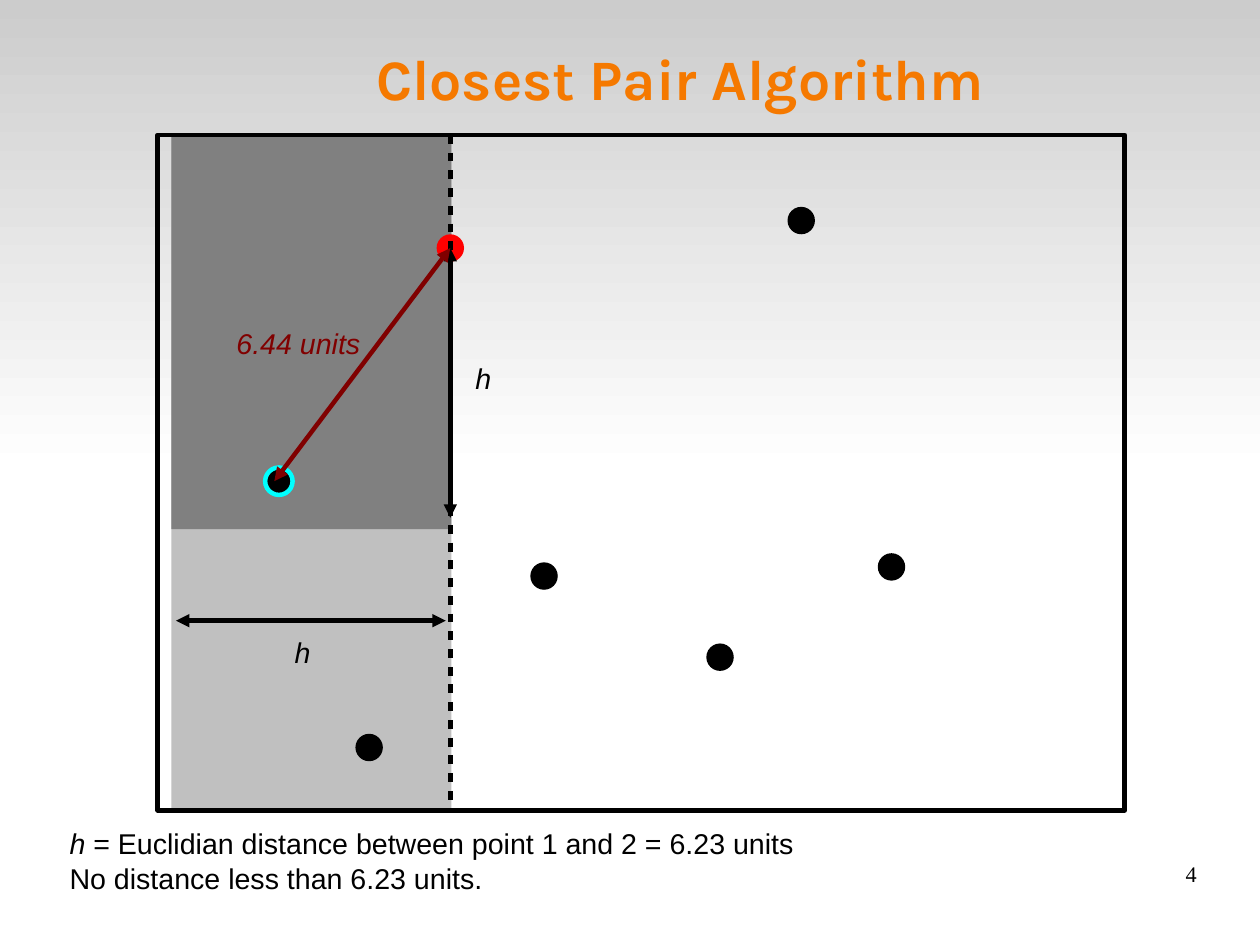
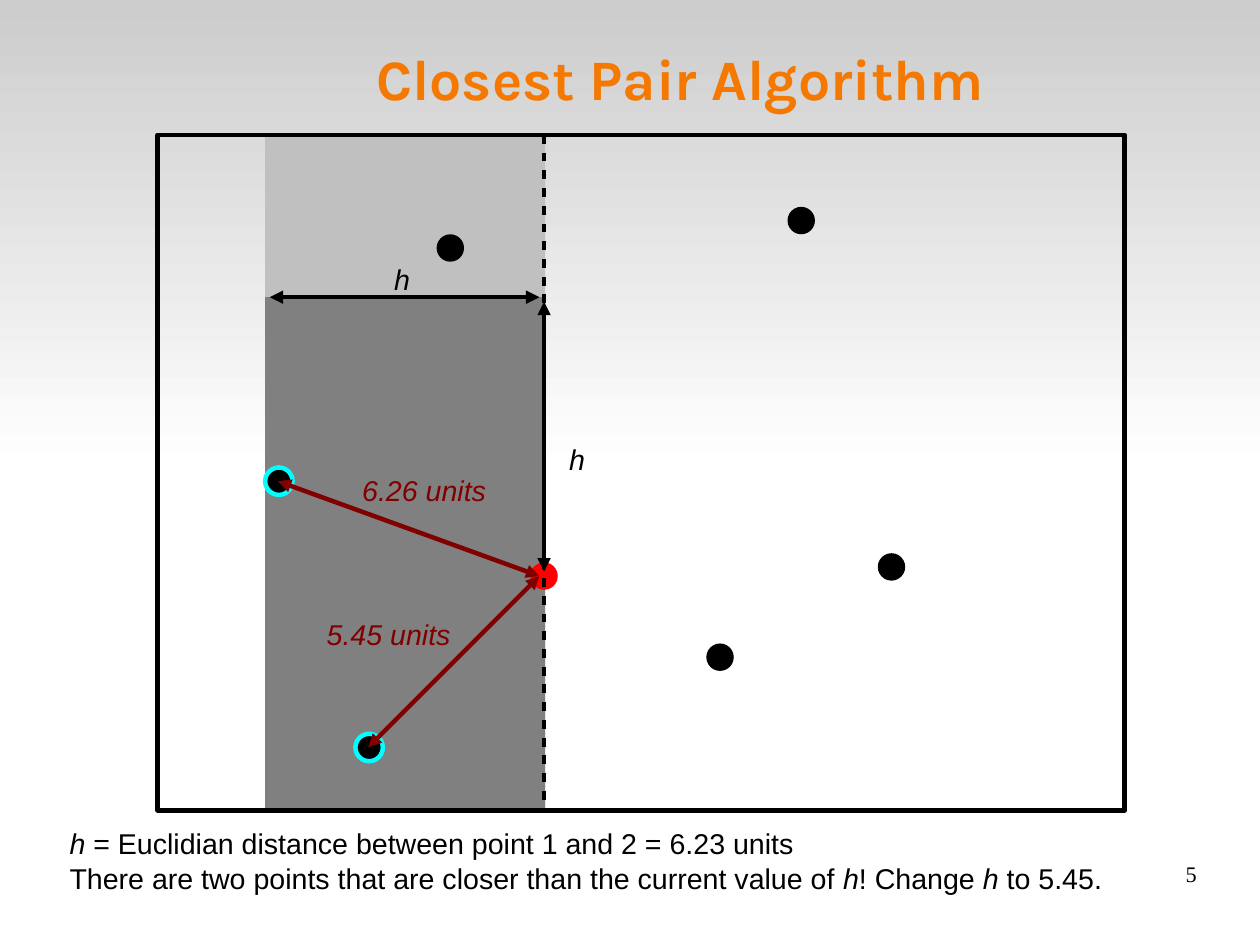
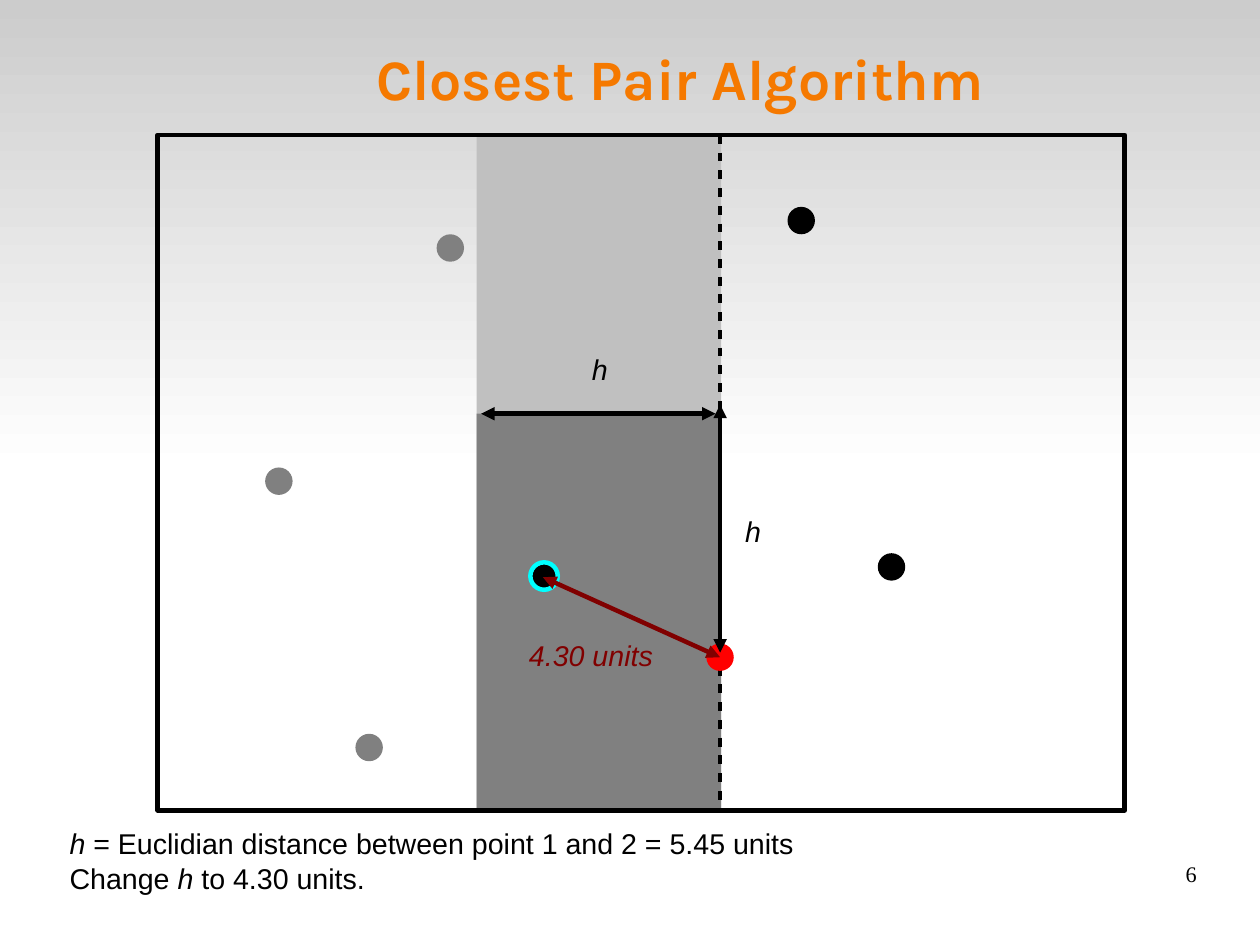
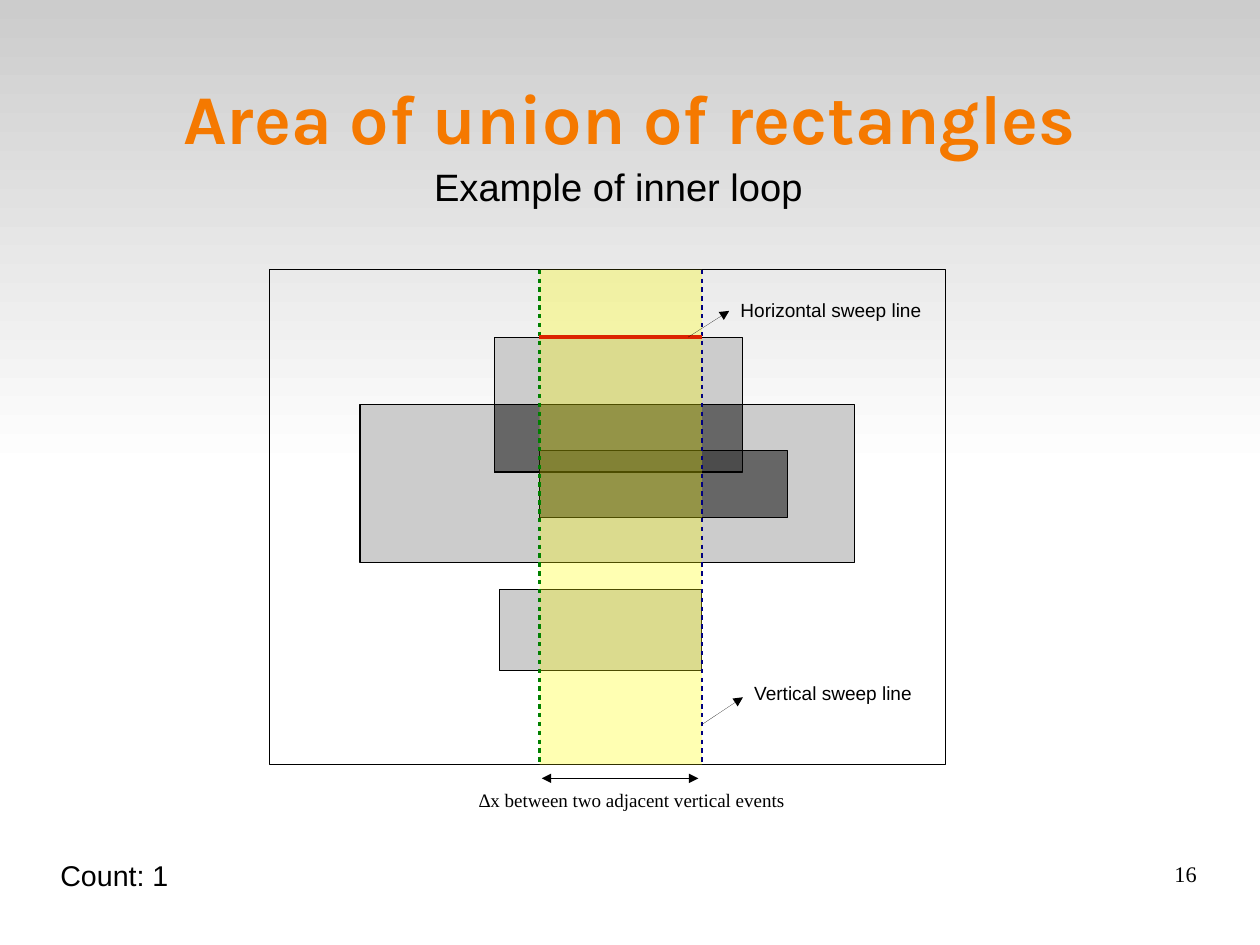
from lxml import etree
from pptx import Presentation
from pptx import util as u
from pptx.dml.color import RGBColor
from pptx.enum import shapes, text
from pptx.oxml.ns import qn

HUES = {
    "black": "000000", "white": "FFFFFF", "red": "FF0000", "cyan": "00FFFF",
    "maroon": "800000", "orange": "F57900", "pale": "C0C0C0", "gray": "808080",
    "once": "CCCCCC", "twice": "666666", "thrice": "4C4C4C",
    "yellow": "FFFF00", "navy": "000080", "green": "008000", "brick": "DC2300",
}
# The page is 28 by 21 cm
PAGE = (u.Cm(28), u.Cm(21))
THICK, DASHED, HAIR = 2.83, 1.42, 0
DOT = 0.24
FRAME = (1.38, 1.18, 8.46, 5.91)
ALIGN = text.PP_ALIGN
NUMBER = {"size": 14, "font": "Times New Roman", "align": ALIGN.RIGHT, "inset": (0, 0)}
HEAD = {"font": "Karla", "color": "orange", "bold": True, "align": ALIGN.CENTER,
        "anchor": text.MSO_ANCHOR.MIDDLE, "inset": (0, 0)}

# Centres of the points
POINTS = {
    "a": (2.44, 4.21), "b": (3.23, 6.54), "c": (4.76, 5.04), "d": (6.3, 5.75),
    "e": (7.01, 1.93), "f": (7.8, 4.96), "g": (3.94, 2.17),
}

# Each step: current point, width of the strip, top and bottom of the search box,
# heights of the two h arrows, places of their labels, measured distances
STEPS = [
    {"page": 4, "now": "g", "reach": 2.45, "box": (1.18, 4.63), "near": "a", "done": "",
     "across": 5.43, "down": (4.53, 2.17), "tags": [(2.48, 5.51), (4.06, 3.11)],
     "spans": [("6.44 units", (1.97, 2.8), (3.94, 2.17), (2.4, 4.21))],
     "notes": ["_h_ = Euclidian distance between point 1 and 2 = 6.23 units",
               "No distance less than 6.23 units."]},
    {"page": 5, "now": "c", "reach": 2.45, "box": (2.6, 7.09), "near": "ab", "done": "",
     "across": 2.6, "down": (5, 2.64), "tags": [(3.35, 2.24), (4.88, 3.82)],
     "spans": [("5.45 units", (2.76, 5.35), (4.72, 5.04), (3.22, 6.54)),
               ("6.26 units", (3.07, 4.09), (4.72, 5.04), (2.43, 4.21))],
     "notes": ["_h_ = Euclidian distance between point 1 and 2 = 6.23 units",
               "There are two points that are closer than the current value of "
               "_h_! Change _h_ to 5.45."]},
    {"page": 6, "now": "d", "reach": 2.14, "box": (3.62, 7.09), "near": "c", "done": "abg",
     "across": 3.62, "down": (5.71, 3.54), "tags": [(5.08, 3.03), (6.42, 4.45)],
     "spans": [("4.30 units", (4.53, 5.53), (6.3, 5.75), (4.75, 5.05))],
     "notes": ["_h_ = Euclidian distance between point 1 and 2 = 5.45 units",
               "Change _h_ to 4.30 units."], "front": True},
]

AREA = (2.36, 2.36, 5.91, 4.33)
BAND = (4.72, 2.36, 1.42, 4.33)
BLOCKS = [
    ("once", (3.15, 3.54, 4.33, 1.38)), ("once", (4.33, 2.95, 2.17, 1.18)),
    ("once", (4.37, 5.16, 1.77, 0.71)), ("twice", (4.33, 3.54, 2.17, 0.59)),
    ("twice", (4.72, 3.94, 2.17, 0.59)), ("thrice", (4.72, 3.94, 1.78, 0.19)),
    (None, AREA),
]
LABELS = [
    ("∆x between two adjacent vertical events", (4.09, 6.85, 2.91, 0.3), 12,
     "Times New Roman"),
    ("Count: 1", (0.43, 7.46, 1.38, 0.38), 18, "Arial"),
    ("Example of inner loop", (3.7, 1.38, 3.54, 0.47), 24, "Arial"),
    ("Vertical sweep line", (6.5, 5.91, 1.77, 0.29), 12, "Arial"),
    ("Horizontal sweep line", (6.38, 2.56, 1.89, 0.29), 12, "Arial"),
]
LEADERS = [((6.14, 6.34), (6.5, 6.1)), ((6.02, 2.95), (6.38, 2.72))]


def rgb(name):
    return RGBColor.from_string(HUES[name])


def inches(vals):
    return [u.Inches(v) for v in vals]


def draw(slide, box, fill=None, line=None, width=THICK, kind="RECTANGLE"):
    shape = slide.shapes.add_shape(shapes.MSO_SHAPE[kind], *inches(box))
    shape.shadow.inherit = False
    if fill:
        shape.fill.solid()
        shape.fill.fore_color.rgb = rgb(fill)
    else:
        shape.fill.background()
    if line:
        shape.line.color.rgb = rgb(line)
        shape.line.width = u.Pt(width)
    else:
        shape.line.fill.background()
    return shape


def link(slide, start, end, color="black", width=THICK, dash=False, heads=()):
    """Draw a straight line; heads names the ends (head, tail) with an arrow."""
    line = slide.shapes.add_connector(
        shapes.MSO_CONNECTOR.STRAIGHT, *inches(start + end))
    line.line.color.rgb = rgb(color)
    line.line.width = u.Pt(width)
    # The theme style would thicken a hairline
    line.element.remove(line.element.find(qn("p:style")))
    props = line.element.spPr
    ln = props.find(qn("a:ln"))
    if dash:
        cust = etree.SubElement(ln, qn("a:custDash"))
        etree.SubElement(cust, qn("a:ds"), d="197000", sp="197000")
    for end_name in heads:
        etree.SubElement(ln, qn(f"a:{end_name}End"), type="triangle")
    etree.SubElement(props, qn("a:effectLst"))


def write(slide, box, lines, size=18, font="Arial", color="black", bold=False,
          align=ALIGN.LEFT, anchor=text.MSO_ANCHOR.TOP, inset=(0.1, 0.05)):
    """Add a text box; words between underscores are set in italics."""
    frame = slide.shapes.add_textbox(*inches(box)).text_frame
    side, top = inches(inset)
    looks = {"word_wrap": True, "vertical_anchor": anchor, "margin_left": side,
             "margin_right": side, "margin_top": top, "margin_bottom": top}
    for key, val in looks.items():
        setattr(frame, key, val)
    for i, line in enumerate(lines):
        para = frame.add_paragraph() if i else frame.paragraphs[0]
        para.alignment = align
        for j, part in enumerate(line.split("_")):
            if not part:
                continue
            run = para.add_run()
            run.text = part
            style = {"size": u.Pt(size), "name": font, "bold": bold, "italic": j % 2 == 1}
            for key, val in style.items():
                setattr(run.font, key, val)
            run.font.color.rgb = rgb(color)


def shade(slide, layout):
    """Put the gradient band on the layout that all slides share."""
    band = draw(slide, (0, 0, 11.02, 4.13), "white")
    band.width = PAGE[0]
    band.fill.gradient()
    band.fill.gradient_angle = 270
    for stop, name in zip(band.fill.gradient_stops, ("once", "white")):
        stop.color.rgb = rgb(name)
    layout.shapes.element.append(band.element)


def start(prs, title, box, size, page):
    slide = prs.slides.add_slide(prs.slide_layouts[6])
    write(slide, box, [title], size=size, **HEAD)
    write(slide, (7.9, 7.53, 2.57, 0.57), [str(page)], **NUMBER)
    return slide


def dot(slide, name, step):
    x, y = POINTS[name]
    fill = "red" if name == step["now"] else "gray" if name in step["done"] else "black"
    ring = "cyan" if name in step["near"] else None
    draw(slide, (x - DOT / 2, y - DOT / 2, DOT, DOT), fill, ring, kind="OVAL")


def pair(prs, step):
    """Build one step of the closest pair search."""
    slide = start(prs, "Closest Pair Algorithm", (2.09, 0.25, 7.72, 0.85), 36, step["page"])
    now, reach = step["now"], step["reach"]
    x = POINTS[now][0]
    left = x + 0.01 - reach
    top, base = FRAME[1], FRAME[1] + FRAME[3]
    low, high = step["box"]
    draw(slide, (left, top, reach, FRAME[3]), "pale")
    draw(slide, (left, low, reach, high - low), "gray")

    front = now if step.get("front") else ""
    for name in POINTS:
        if name != front:
            dot(slide, name, step)
    link(slide, (x, top), (x, base), dash=True)
    draw(slide, FRAME, line="black")
    if front:
        dot(slide, front, step)

    both = ("head", "tail")
    across, (foot, peak) = step["across"], step["down"]
    link(slide, (x - 0.04, across), (left + 0.04, across), heads=both)
    link(slide, (x, foot), (x, peak), heads=both)
    for spot in step["tags"]:
        write(slide, spot + (0.39, 0.38), ["_h_"])
    for label, spot, begin, end in step["spans"]:
        link(slide, begin, end, "maroon", heads=both)
        write(slide, spot + (1.46, 0.38), [f"_{label}_"], color="maroon")
    write(slide, (0.51, 7.18, 9.92, 0.66), step["notes"])


def union(prs):
    """Build the slide on the area of overlapping rectangles."""
    slide = start(prs, "Area of union of rectangles", (0.55, 0.33, 9.92, 1.38), 44, 16)
    for fill, box in BLOCKS:
        draw(slide, box, fill, "black", HAIR)
    band = draw(slide, BAND, "yellow")
    tint = band.element.spPr.find(qn("a:solidFill")).find(qn("a:srgbClr"))
    etree.SubElement(tint, qn("a:alpha"), val="30000")

    left, top, wide, tall = BAND
    right, base = left + wide, top + tall
    link(slide, (left + 0.02, 6.81), (right - 0.03, 6.81), width=HAIR,
         heads=("head", "tail"))
    for x, color in ((right, "navy"), (left, "green")):
        link(slide, (x, top), (x, base), color, DASHED, dash=True)
    link(slide, (left, 2.95), (right, 2.95), "brick")
    for begin, end in LEADERS:
        link(slide, begin, end, width=HAIR, heads=("tail",))
    for words, box, size, font in LABELS:
        write(slide, box, [words], size, font)


def main():
    prs = Presentation()
    prs.slide_width, prs.slide_height = PAGE
    for step in STEPS:
        pair(prs, step)
    union(prs)
    shade(prs.slides[0], prs.slide_layouts[6])
    prs.save("out.pptx")


if __name__ == "__main__":
    main()
